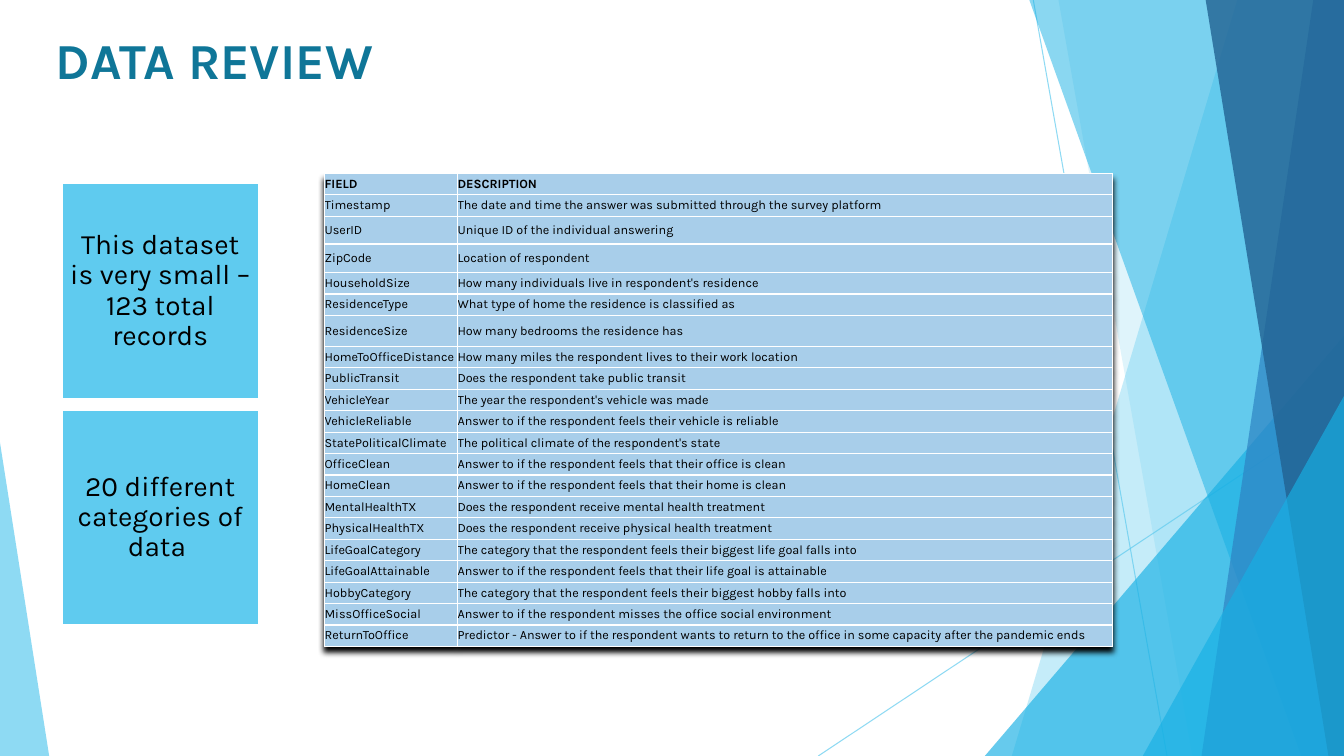
import pptx
import pptx.util
import pptx.dml.color
import pptx.enum.shapes
import pptx.enum.text
import pptx.oxml
import pptx.oxml.ns
from pptx.util import Cm

SLIDE_WIDTH, SLIDE_HEIGHT = 33.87, 19.05
SKY, CYAN, BLUE, NAVY = "5FCBEF", "17B0E4", "2E83C3", "226292"
ROW_HEIGHT = 0.54
TALL_ROWS = {"UserID": 0.7, "ZipCode": 0.72, "ResidenceSize": 0.78}
COLUMN_WIDTHS = (3.35, 16.51)
ALIGN = pptx.enum.text.PP_ALIGN
ANCHOR = pptx.enum.text.MSO_ANCHOR
SHAPE = pptx.enum.shapes.MSO_SHAPE

FIELDS = [
    ("FIELD", "DESCRIPTION"),
    ("Timestamp", "The date and time the answer was submitted through the survey platform"),
    ("UserID", "Unique ID of the individual answering"),
    ("ZipCode", "Location of respondent"),
    ("HouseholdSize", "How many individuals live in respondent's residence"),
    ("ResidenceType", "What type of home the residence is classified as"),
    ("ResidenceSize", "How many bedrooms the residence has"),
    ("HomeToOfficeDistance", "How many miles the respondent lives to their work location"),
    ("PublicTransit", "Does the respondent take public transit"),
    ("VehicleYear", "The year the respondent's vehicle was made"),
    ("VehicleReliable", "Answer to if the respondent feels their vehicle is reliable"),
    ("StatePoliticalClimate", "The political climate of the respondent's state"),
    ("OfficeClean", "Answer to if the respondent feels that their office is clean"),
    ("HomeClean", "Answer to if the respondent feels that their home is clean"),
    ("MentalHealthTX", "Does the respondent receive mental health treatment"),
    ("PhysicalHealthTX", "Does the respondent receive physical health treatment"),
    ("LifeGoalCategory", "The category that the respondent feels their biggest life goal falls into"),
    ("LifeGoalAttainable", "Answer to if the respondent feels that their life goal is attainable"),
    ("HobbyCategory", "The category that the respondent feels their biggest hobby falls into"),
    ("MissOfficeSocial", "Answer to if the respondent misses the office social environment"),
    ("ReturnToOffice", "Predictor - Answer to if the respondent wants to return to the office "
                       "in some capacity after the pandemic ends"),
]


def rgb(hex_color):
    return pptx.dml.color.RGBColor.from_string(hex_color)


def set_values(target, values):
    for name, value in values.items():
        setattr(target, name, value)


def xml_element(markup):
    return pptx.oxml.parse_xml(markup.replace(">", f" {pptx.oxml.ns.nsdecls('a')}>", 1))


def set_opacity(properties, percent):
    color = next(properties.iter(pptx.oxml.ns.qn("a:srgbClr")))
    color.append(xml_element(f'<a:alpha val="{percent * 1000}"></a:alpha>'))


def write(frame, text, size, color, bold=False, align=ALIGN.LEFT, **paragraph_format):
    paragraph = frame.paragraphs[0]
    set_values(paragraph, {"alignment": align, **paragraph_format})
    run = paragraph.add_run()
    run.text = text
    set_values(run.font, {"name": "Karla", "size": pptx.util.Pt(size), "bold": bold})
    run.font.color.rgb = rgb(color)


def paint(shape, color, opacity):
    shape.shadow.inherit = False
    shape.fill.solid()
    shape.fill.fore_color.rgb = rgb(color)
    shape.line.fill.background()
    set_opacity(shape.fill._xPr, opacity)


def add_ray(slide, start, end):
    ray = slide.shapes.add_connector(
        pptx.enum.shapes.MSO_CONNECTOR.STRAIGHT, *map(Cm, start + end))
    ray.line.color.rgb = rgb(SKY)
    ray.line.width = pptx.util.Pt(0.75)
    properties = ray._element.spPr
    set_opacity(properties, 70)
    properties.append(xml_element("<a:effectLst></a:effectLst>"))


def add_facet(slide, top_left, bottom_left, color, opacity):
    """Panel that runs from a slanted left side to the slide's right edge."""
    top = -0.03
    corners = [(top_left, top), (SLIDE_WIDTH, top),
               (SLIDE_WIDTH, SLIDE_HEIGHT), (bottom_left, SLIDE_HEIGHT)]
    points = [(Cm(x), Cm(y)) for x, y in corners]
    outline = slide.shapes.build_freeform(*points[0])
    outline.add_line_segments(points[1:], close=True)
    paint(outline.convert_to_shape(), color, opacity)


def add_corner(slide, left, top, width, peak, color, opacity):
    """Triangle that stands on the slide's bottom edge."""
    corner = slide.shapes.add_shape(
        SHAPE.ISOSCELES_TRIANGLE, Cm(left), Cm(top), Cm(width), Cm(SLIDE_HEIGHT - top))
    corner.adjustments[0] = peak
    paint(corner, color, opacity)


def add_backdrop(slide):
    add_ray(slide, (26.04, 0), (29.41, SLIDE_HEIGHT))
    add_ray(slide, (SLIDE_WIDTH, 10.24), (20.62, SLIDE_HEIGHT))
    add_facet(slide, 31.19, 25.5, SKY, 36)
    add_facet(slide, 26.67, 30.05, SKY, 20)
    add_corner(slide, 24.82, 8.46, 9.05, 1, CYAN, 66)
    add_facet(slide, 25.93, 32.79, CYAN, 50)
    add_facet(slide, 33.1, 30.28, BLUE, 70)
    add_facet(slide, 30.38, 33.48, NAVY, 80)
    add_corner(slide, 28.8, 9.98, 5.07, 1, CYAN, 66)
    add_corner(slide, 0, 11.15, 1.24, 0, SKY, 70)


def add_title(slide, text):
    title = slide.shapes.add_textbox(Cm(-1.37), Cm(0.61), Cm(13.54), Cm(2.39))
    title.text_frame.word_wrap = True
    write(title.text_frame, text, 36, "0F7698", bold=True, align=ALIGN.CENTER)


def add_card(slide, top, height, text):
    card = slide.shapes.add_shape(SHAPE.RECTANGLE, Cm(1.55), Cm(top), Cm(4.98), Cm(height))
    card.shadow.inherit = False
    card.fill.solid()
    card.fill.fore_color.rgb = rgb(SKY)
    card.line.color.rgb = rgb("FFFFFF")
    card.line.width = pptx.util.Pt(1.5)
    margins = dict.fromkeys(
        ("margin_left", "margin_top", "margin_right", "margin_bottom"), Cm(0.15))
    set_values(card.text_frame,
               {"word_wrap": True, "vertical_anchor": ANCHOR.MIDDLE, **margins})
    write(card.text_frame, text, 20, "000000", align=ALIGN.CENTER, line_spacing=0.9)


def add_borders(cell):
    properties = cell._tc.get_or_add_tcPr()
    for position, side in enumerate(("lnL", "lnR", "lnT", "lnB")):
        properties.insert(position, xml_element(
            f'<a:{side} w="12700"><a:solidFill><a:srgbClr val="FFFFFF"/></a:solidFill></a:{side}>'))


def add_field_table(slide):
    heights = [TALL_ROWS.get(field, ROW_HEIGHT) for field, _ in FIELDS]
    table = slide.shapes.add_table(
        len(FIELDS), len(COLUMN_WIDTHS), Cm(8.18), Cm(4.37),
        Cm(sum(COLUMN_WIDTHS)), Cm(sum(heights))).table
    set_values(table, {"first_row": False, "horz_banding": False})
    for column, width in zip(table.columns, COLUMN_WIDTHS):
        column.width = Cm(width)
    # Soft shadow under the whole table
    table._tbl.tblPr.insert(0, xml_element(
        '<a:effectLst><a:outerShdw blurRad="50800" dist="50800" dir="5400000">'
        '<a:srgbClr val="000000"/></a:outerShdw></a:effectLst>'))
    cell_format = {"margin_left": 0, "margin_top": 0, "margin_right": 0,
                   "margin_bottom": 0, "vertical_anchor": ANCHOR.MIDDLE}
    for index, (entry, height) in enumerate(zip(FIELDS, heights)):
        table.rows[index].height = Cm(height)
        for cell, text in zip(table.rows[index].cells, entry):
            set_values(cell, cell_format)
            cell.fill.solid()
            cell.fill.fore_color.rgb = rgb("A8CEEA")
            add_borders(cell)
            write(cell.text_frame, text, 9, "000000", bold=index == 0)


def main():
    deck = pptx.Presentation()
    set_values(deck, {"slide_width": Cm(SLIDE_WIDTH), "slide_height": Cm(SLIDE_HEIGHT)})
    slide = deck.slides.add_slide(deck.slide_layouts[6])
    add_backdrop(slide)
    add_title(slide, "DATA REVIEW")
    add_field_table(slide)
    # Key facts beside the table
    add_card(slide, 4.6, 5.46, "This dataset is very small – 123 total records")
    add_card(slide, 10.34, 5.41, "20 different categories of data ")
    deck.save("out.pptx")


if __name__ == "__main__":
    main()
